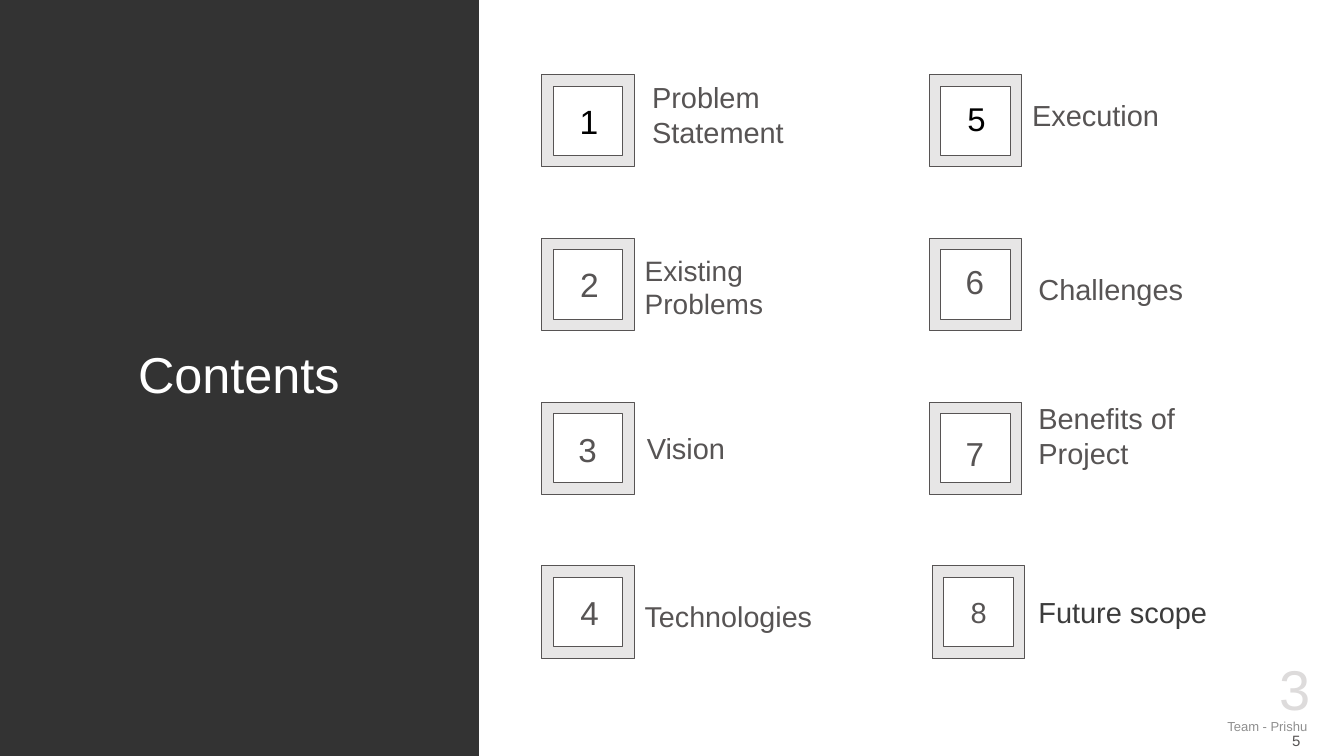
from dataclasses import dataclass

from pptx import Presentation
from pptx.dml.color import RGBColor
from pptx.enum.shapes import MSO_SHAPE
from pptx.enum.text import MSO_ANCHOR, PP_ALIGN
from pptx.util import Emu, Pt

EMU_PER_PX = 9525
FONT = "Arial"
GREY = "575454"
BLACK = "000000"
TOP, MIDDLE, BOTTOM = MSO_ANCHOR.TOP, MSO_ANCHOR.MIDDLE, MSO_ANCHOR.BOTTOM
LEFT, CENTER, RIGHT = PP_ALIGN.LEFT, PP_ALIGN.CENTER, PP_ALIGN.RIGHT

FRAME_SIZE = 88
FRAME_TOP = 71
ROW_PITCH = 156
ROWS = 4
COLUMN_LEFTS = (516, 885)
LAST_FRAME_SHIFT = 3


@dataclass(frozen=True)
class Box:
    left: int
    top: int
    width: int
    height: int


@dataclass(frozen=True)
class Caption:
    text: str
    box: Box
    size: float
    color: str = GREY
    align: PP_ALIGN = LEFT
    anchor: MSO_ANCHOR = MIDDLE
    inset: int = 5


NUMBERS = (
    Caption("1", Box(530, 86, 62, 60), 24, BLACK, CENTER, TOP, 10),
    Caption("2", Box(536, 239, 51, 63), 24, align=CENTER),
    Caption("3", Box(534, 396, 51, 63), 23.7, align=CENTER),
    Caption("4", Box(536, 552, 51, 63), 23.7, align=CENTER),
    Caption("5", Box(899, 84, 62, 60), 23.5, BLACK, CENTER, TOP, 10),
    Caption("6", Box(903, 232, 51, 71), 23.7, align=CENTER),
    Caption("7", Box(903, 400, 51, 63), 23.7, align=CENTER),
    Caption("8", Box(897, 551, 70, 63), 20.7, align=CENTER),
)

TOPICS = (
    Caption("Problem Statement", Box(611, 71, 228, 88), 20.7, anchor=TOP),
    Caption("Existing\nProblems", Box(604, 243, 255, 60), 20),
    Caption("Vision", Box(606, 406, 228, 42), 20.7, anchor=BOTTOM),
    Caption("Technologies", Box(604, 561, 219, 52), 20.5),
    Caption("Execution", Box(973, 88, 159, 42), 20.7, anchor=TOP),
    Caption("Challenges", Box(979, 245, 219, 52), 20.7, anchor=BOTTOM),
    Caption("Benefits of Project", Box(979, 382, 219, 71), 20.7, anchor=BOTTOM),
    Caption("Future scope", Box(979, 562, 219, 42), 20.7, "3C3C3C", anchor=BOTTOM),
)

FOOTER = (
    Caption("3", Box(1068, 621, 190, 71), 40, "DDDBDB", RIGHT, BOTTOM),
    Caption("5", Box(1209, 674, 51, 63), 10.7, align=CENTER),
    Caption("Team - Prishu", Box(781, 673, 474, 38), 9.3, "8F8F8F", RIGHT),
)


def px(length: int) -> Emu:
    return Emu(length * EMU_PER_PX)


def rgb(color: str) -> RGBColor:
    return RGBColor.from_string(color)


def place(box: Box) -> tuple[Emu, Emu, Emu, Emu]:
    return px(box.left), px(box.top), px(box.width), px(box.height)


def write(shape, text: str, *, size: float, color: str, align: PP_ALIGN,
          anchor: MSO_ANCHOR, inset: int = 5, spacing: float = 1.0) -> None:
    frame = shape.text_frame
    frame.word_wrap = True
    frame.vertical_anchor = anchor
    frame.margin_left = frame.margin_right = px(10)
    frame.margin_top = frame.margin_bottom = px(inset)
    frame.text = text
    for paragraph in frame.paragraphs:
        paragraph.alignment = align
        paragraph.line_spacing = spacing
        for run in paragraph.runs:
            run.font.name = FONT
            run.font.size = Pt(size)
            run.font.color.rgb = rgb(color)


def add_caption(slide, caption: Caption) -> None:
    write(slide.shapes.add_textbox(*place(caption.box)), caption.text,
          size=caption.size, color=caption.color, align=caption.align,
          anchor=caption.anchor, inset=caption.inset)


def add_block(slide, preset: MSO_SHAPE, box: Box, fill: str, line: str | None = None):
    block = slide.shapes.add_shape(preset, *place(box))
    block.shadow.inherit = False
    block.fill.solid()
    block.fill.fore_color.rgb = rgb(fill)
    if line:
        block.line.color.rgb = rgb(line)
        block.line.width = Pt(0.75)
    else:
        block.line.fill.background()
    return block


def add_heading(slide) -> None:
    heading = slide.shapes.title
    heading.left, heading.top, heading.width, heading.height = place(Box(41, 254, 373, 211))
    write(heading, "Contents", size=36, color="FFFFFF", align=CENTER,
          anchor=MIDDLE, spacing=0.9)
    panel = add_block(slide, MSO_SHAPE.RECTANGLE, Box(0, 0, 456, 720), "333333")
    heading._element.addprevious(panel._element)


def add_number_frames(slide) -> None:
    for index in range(len(NUMBERS)):
        column, row = divmod(index, ROWS)
        shift = LAST_FRAME_SHIFT if index == len(NUMBERS) - 1 else 0
        box = Box(COLUMN_LEFTS[column] + shift, FRAME_TOP + row * ROW_PITCH,
                  FRAME_SIZE, FRAME_SIZE)
        number_frame = add_block(slide, MSO_SHAPE.FRAME, box, "E7E6E6", GREY)
        number_frame.adjustments[0] = 0.125


def main() -> None:
    deck = Presentation()
    deck.slide_width, deck.slide_height = px(1280), px(720)
    slide = deck.slides.add_slide(deck.slide_layouts.get_by_name("Title Only"))
    add_heading(slide)
    add_number_frames(slide)
    for caption in NUMBERS + TOPICS + FOOTER:
        add_caption(slide, caption)
    deck.save("out.pptx")


if __name__ == "__main__":
    main()
